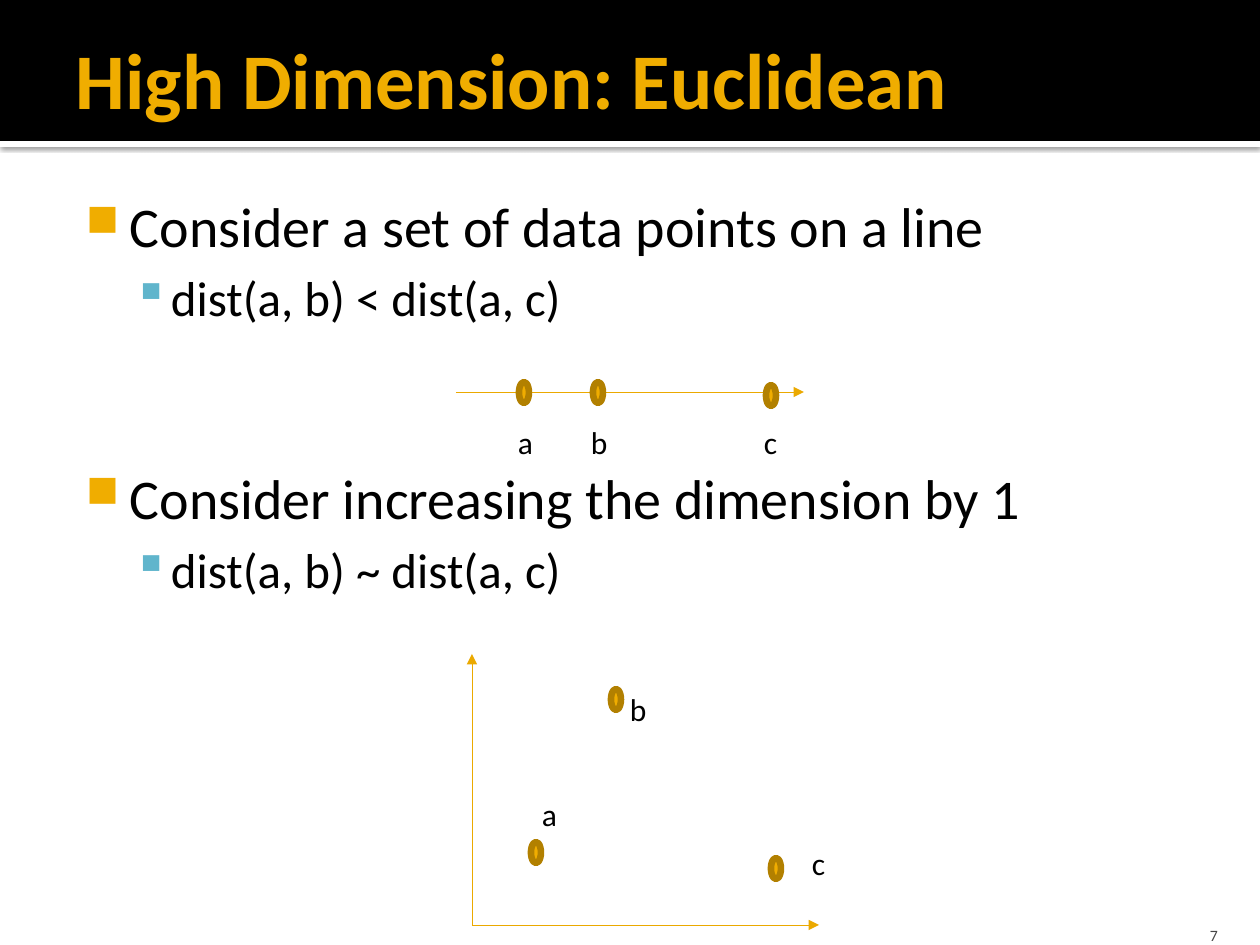
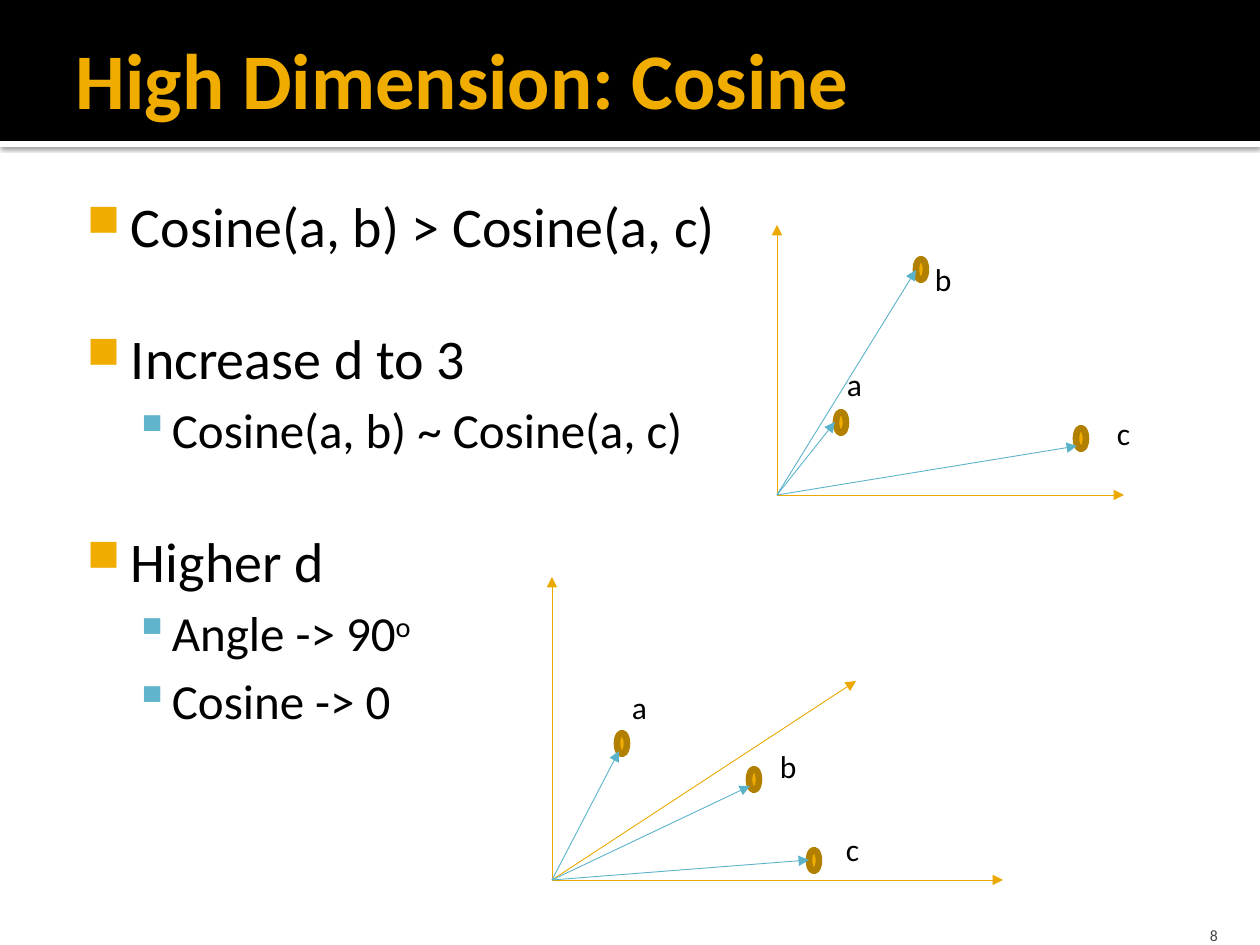
from lxml import etree
from pptx import Presentation
from pptx import util as u
from pptx.dml import color as dml
from pptx.enum import shapes, text
from pptx.oxml import ns

SCALE = 914400 / 126
FONT = "Calibri"
HUES = {
    "black": "000000",
    "white": "FFFFFF",
    "gold": "F0AD00",
    "axis": "EBA900",
    "rim": "B28000",
    "sky": "60B5CC",
    "ray": "5BB3CA",
    "gray": "454545",
}
LEVELS = [
    dict(size=32, left=60, hang=-44, mark="■", hue="gold", pct=80, gap=0),
    dict(size=28, left=101, hang=-38, mark="▪", hue="sky", pct=100, gap=5),
]
PLANE = [
    ("a", (64, -73), (57, -136), (58, -73)),
    ("b", (144, -226), (145, -241), (139, -225)),
    ("c", (304, -57), (327, -87), (300, -49)),
]
LINE = [
    ("a", (68, 0), (49, 25), None),
    ("b", (142, 0), (122, 25), None),
    ("c", (315, 3), (295, 25), None),
]
SPACE = [
    ("a", (70, -137), (67, -198), (67, -129)),
    ("b", (202, -101), (215, -139), (198, -94)),
    ("c", (262, -20), (281, -56), (257, -20)),
]


def px(n):
    return u.Emu(round(n * SCALE))


def rgb(hue):
    return dml.RGBColor.from_string(HUES[hue])


def add(root, tag, **attrs):
    return etree.SubElement(root, ns.qn(tag), {k: str(v) for k, v in attrs.items()})


def write(para, words, size, hue="black", bold=False, base=0):
    run = para.add_run()
    run.text = words
    run.font.name = FONT
    run.font.size = u.Pt(size)
    run.font.bold = bold
    run.font.color.rgb = rgb(hue)
    if base:
        run.font._element.set("baseline", str(base))


def frame(board, box, pads=(13, 6, 13, 6), wrap=True):
    tf = board.add_textbox(*map(px, box)).text_frame
    tf.word_wrap = wrap
    tf.margin_left, tf.margin_top, tf.margin_right, tf.margin_bottom = map(px, pads)
    return tf


def shape(board, kind, box, hue):
    item = board.add_shape(kind, *map(px, box))
    item.shadow.inherit = False
    item.fill.solid()
    item.fill.fore_color.rgb = rgb(hue)
    item.line.fill.background()
    return item


def arrow(board, start, end, hue):
    item = board.add_connector(
        shapes.MSO_CONNECTOR.STRAIGHT, *map(px, start), *map(px, end)
    )
    item.line.color.rgb = rgb(hue)
    item.line.width = u.Pt(0.5)
    add(item.line._get_or_add_ln(), "a:tailEnd", type="triangle")
    add(item._element.spPr, "a:effectLst")


def head(board, words):
    rect = shapes.MSO_SHAPE.RECTANGLE
    strip = shape(board, rect, (0, 141, 1260, 6), "white")
    glow = add(
        strip._element.spPr.find(ns.qn("a:effectLst")),
        "a:outerShdw",
        blurRad=u.Pt(2.5),
        dist=u.Pt(0.8),
        dir=5400000,
        algn="tl",
        rotWithShape=0,
    )
    tint = add(glow, "a:srgbClr", val=HUES["black"])
    add(tint, "a:alpha", val=60000)
    shape(board, rect, (0, 0, 1260, 141), "black")
    tf = frame(board, (63, 10, 1134, 136), (13, 6, 6, 6))
    tf.vertical_anchor = text.MSO_ANCHOR.MIDDLE
    write(tf.paragraphs[0], words, 45, "gold", True)


def foot(board, num):
    tf = frame(board, (1130, 907, 101, 38), (13, 6, 13, 0))
    tf.vertical_anchor = text.MSO_ANCHOR.BOTTOM
    para = tf.paragraphs[0]
    para.alignment = text.PP_ALIGN.RIGHT
    write(para, str(num), 9, "gray")


def body(board, box, items):
    tf = frame(board, box, (8, 13, 13, 6))
    for i, (level, gap, words, *power) in enumerate(items):
        look = LEVELS[level]
        para = tf.add_paragraph() if i else tf.paragraphs[0]
        para.level = level
        props = para._p.get_or_add_pPr()
        props.set("marL", str(px(look["left"])))
        props.set("indent", str(px(look["hang"])))
        add(add(props, "a:buClr"), "a:srgbClr", val=HUES[look["hue"]])
        add(props, "a:buSzPct", val=look["pct"] * 1000)
        add(props, "a:buChar", char=look["mark"])
        para.space_before = u.Pt(gap or look["gap"])
        write(para, words, look["size"])
        for mark in power:
            write(para, mark, look["size"], base=30000)


def plot(slide, x, y, axes, points, rays=False):
    board = slide.shapes.add_group_shape().shapes

    def at(spot):
        return x + spot[0], y + spot[1]

    for end in axes:
        arrow(board, (x, y), at(end), "axis")
    for name, dot, label, tip in points:
        cx, cy = at(dot)
        oval = shape(board, shapes.MSO_SHAPE.OVAL, (cx - 5, cy - 10, 10, 21), "gold")
        oval.line.color.rgb = rgb("rim")
        oval.line.width = u.Pt(3.78)
        tf = frame(board, (*at(label), 40, 50), wrap=False)
        tf.auto_size = text.MSO_AUTO_SIZE.SHAPE_TO_FIT_TEXT
        write(tf.paragraphs[0], name, 18)
    if rays:
        for point in points:
            arrow(board, (x, y), at(point[3]), "ray")


def start(deck, title, num, box, items):
    slide = deck.slides.add_slide(deck.slide_layouts[6])
    head(slide.shapes, title)
    body(slide.shapes, box, items)
    foot(slide.shapes, num)
    return slide


def euclid(deck):
    slide = start(deck, "High Dimension: Euclidean", 7, (62, 179, 1134, 665), [
        (0, 0, "Consider a set of data points on a line"),
        (1, 0, "dist(a, b) < dist(a, c)"),
        (0, 78, "Consider increasing the dimension by 1"),
        (1, 0, "dist(a, b) ~ dist(a, c)"),
    ])
    plot(slide, 456, 392, [(348, 0)], LINE)
    plot(slide, 472, 925, [(347, 0), (0, -271)], PLANE)


def cosine(deck):
    slide = start(deck, "High Dimension: Cosine", 8, (63, 179, 1134, 725), [
        (0, 0, "Cosine(a, b) > Cosine(a, c)"),
        (0, 37, "Increase d to 3"),
        (1, 0, "Cosine(a, b) ~ Cosine(a, c)"),
        (0, 39, "Higher d"),
        (1, 0, "Angle -> 90", "o"),
        (1, 0, "Cosine -> 0"),
    ])
    plot(slide, 777, 495, [(347, 0), (0, -270)], PLANE, True)
    plot(slide, 552, 880, [(304, -199), (451, 0), (0, -303)], SPACE, True)


def main():
    deck = Presentation()
    deck.slide_width, deck.slide_height = px(1260), px(945)
    euclid(deck)
    cosine(deck)
    deck.save("out.pptx")


if __name__ == "__main__":
    main()
